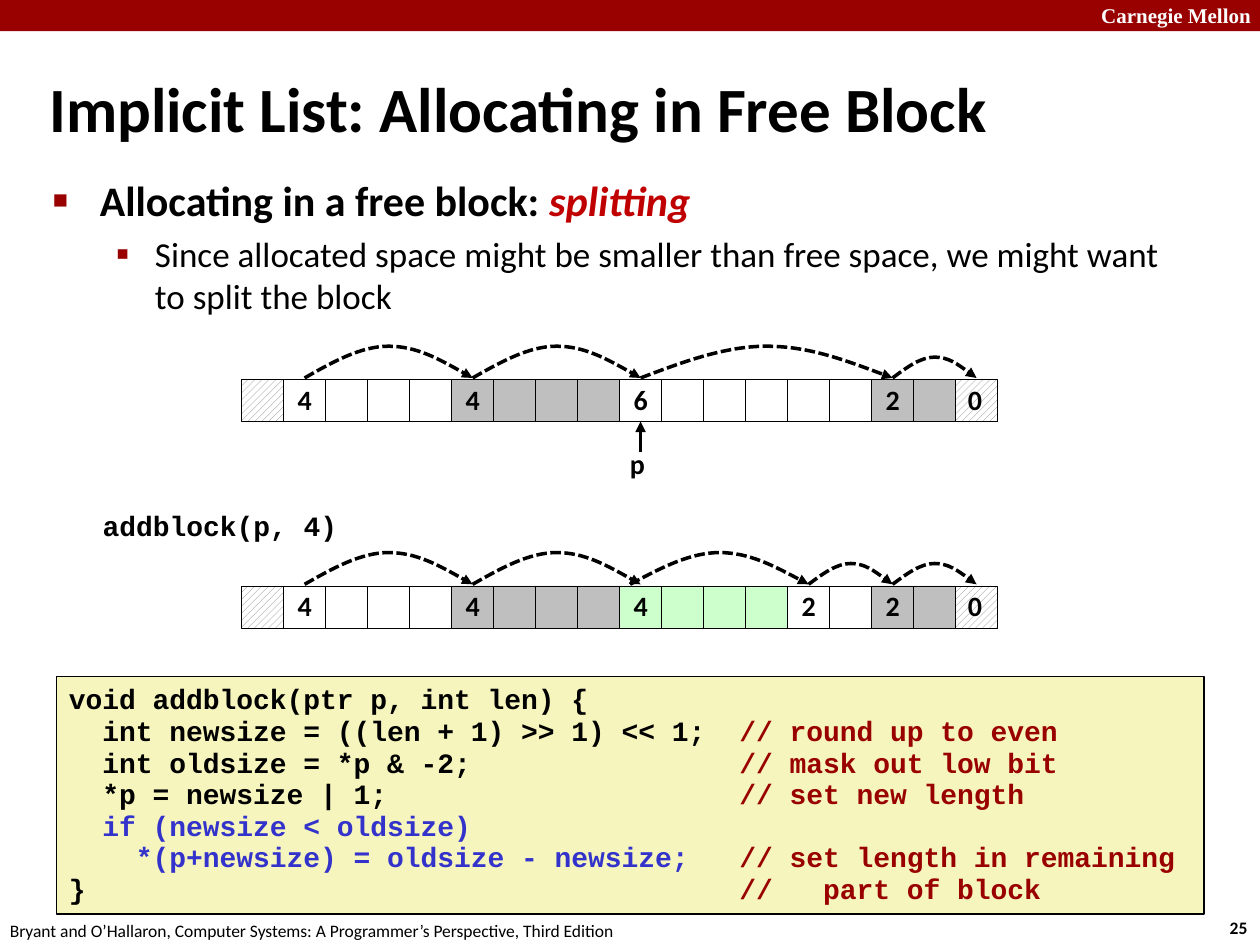
from itertools import pairwise

from lxml.etree import SubElement
from pptx import Presentation
from pptx.dml.color import RGBColor
from pptx.enum.dml import MSO_LINE, MSO_PATTERN
from pptx.enum.shapes import MSO_CONNECTOR, MSO_SHAPE
from pptx.enum.text import MSO_ANCHOR, MSO_AUTO_SIZE, PP_ALIGN
from pptx.oxml.ns import qn
from pptx.util import Cm, Pt

BLACK = RGBColor(0x00, 0x00, 0x00)
WHITE = RGBColor(0xFF, 0xFF, 0xFF)
CRIMSON = RGBColor(0x99, 0x00, 0x00)
RED = RGBColor(0xC0, 0x00, 0x00)
BLUE = RGBColor(0x33, 0x33, 0xCC)
GRAY = RGBColor(0xBF, 0xBF, 0xBF)
HATCH = RGBColor(0x80, 0x80, 0x80)
GREEN = RGBColor(0xCC, 0xFF, 0xCC)
CREAM = RGBColor(0xF6, 0xF5, 0xBD)

TITLE = "Implicit List: Allocating in Free Block"
FOOTER = "Bryant and O’Hallaron, Computer Systems: A Programmer’s Perspective, Third Edition"
LEAD = [("Allocating in a free block: ", {}), ("splitting", {"color": RED, "italic": True})]
DETAIL = [("Since allocated space might be smaller than free space, "
           "we might want to split the block", {"bold": False})]

CODE = [
    [("void addblock(ptr p, int len) {", BLACK)],
    [("  int newsize = ((len + 1) >> 1) << 1;  ", BLACK), ("// round up to even", CRIMSON)],
    [("  int oldsize = *p & -2;                ", BLACK), ("// mask out low bit", CRIMSON)],
    [("  *p = newsize | 1;                     ", BLACK), ("// set new length", CRIMSON)],
    [("  if (newsize < oldsize)", BLUE)],
    [("    *(p+newsize) = oldsize - newsize;   ", BLUE),
     ("// set length in remaining", CRIMSON)],
    [("}                                       ", BLACK), ("//   part of block", CRIMSON)],
]

BEFORE = [(4, WHITE, 0), (4, GRAY, 0), (6, WHITE, 0), (2, GRAY, 0)]
AFTER = [(4, WHITE, 0), (4, GRAY, 0), (4, GREEN, Cm(-0.21)), (2, WHITE, 0), (2, GRAY, 0)]
BEFORE_TOP, AFTER_TOP = Cm(7.65), Cm(11.81)
HEAP_LEFT = Cm(4.87)
CELL = Cm(2.54) // 3
TALL_ARC, LOW_ARC, ARC_GAP = Cm(0.64), Cm(0.42), Cm(0.03)
POINTER_BLOCK = 2


def write(para, text, size=16, font="Calibri", color=BLACK, bold=True, italic=False):
    span = para.add_run()
    span.text = text
    span.font.name, span.font.size = font, Pt(size)
    span.font.bold, span.font.italic = bold, italic
    span.font.color.rgb = color


def add_label(page, left, top, width, height, text, margin=0.25, spacing=1.0, **style):
    box = page.shapes.add_textbox(Cm(left), Cm(top), Cm(width), Cm(height))
    frame = box.text_frame
    frame.word_wrap = False
    frame.margin_left = frame.margin_right = Cm(margin)
    para = frame.paragraphs[0]
    para.alignment, para.line_spacing = PP_ALIGN.LEFT, spacing
    write(para, text, **style)


def add_box(page, left, top, width, height, fill, line_width=None):
    box = page.shapes.add_shape(MSO_SHAPE.RECTANGLE, left, top, width, height)
    box.shadow.inherit = False
    if fill == HATCH:
        box.fill.patterned()
        box.fill.pattern = MSO_PATTERN.WIDE_UPWARD_DIAGONAL
        box.fill.fore_color.rgb, box.fill.back_color.rgb = HATCH, WHITE
    else:
        box.fill.solid()
        box.fill.fore_color.rgb = fill
    if line_width:
        box.line.color.rgb, box.line.width = BLACK, Pt(line_width)
    else:
        box.line.fill.background()
    return box


def add_cell(page, column, top, fill, text="", align=PP_ALIGN.CENTER):
    cell = add_box(page, HEAP_LEFT + column * CELL, top, CELL, CELL, fill, 0.25)
    if text:
        frame = cell.text_frame
        frame.word_wrap, frame.vertical_anchor = False, MSO_ANCHOR.MIDDLE
        para = frame.paragraphs[0]
        para.alignment, para.line_spacing = align, 0.98
        write(para, text)
    return cell


def style_arrow(arrow):
    arrow.line.color.rgb, arrow.line.width = BLACK, Pt(2)
    SubElement(arrow.element.spPr.find(qn("a:ln")), qn("a:tailEnd"), type="triangle")


def add_arc(page, start, end, base, height):
    top, sixth = base - height, (end - start) // 6
    middle = (start + end) // 2
    points = [(start + sixth, base - height // 2), (middle - sixth, top), (middle, top),
              (middle + sixth, top), (end - sixth, base - height // 2), (end, base)]
    builder = page.shapes.build_freeform(start, base)
    builder.add_line_segments(points, close=False)
    arc = builder.convert_to_shape()
    outline = arc.element.find(".//" + qn("a:path"))
    segments = outline.findall(qn("a:lnTo"))
    for first in (0, 3):
        curve = SubElement(outline, qn("a:cubicBezTo"))
        for segment in segments[first:first + 3]:
            curve.append(segment[0])
            outline.remove(segment)
    arc.shadow.inherit = False
    arc.fill.background()
    arc.line.dash_style = MSO_LINE.SQUARE_DOT
    style_arrow(arc)


def add_heap(page, top, blocks):
    add_cell(page, 0, top, HATCH)
    columns, heads = [1], []
    for size, fill, _ in blocks:
        heads.append(add_cell(page, columns[-1], top, fill, str(size)))
        for offset in range(1, size):
            add_cell(page, columns[-1] + offset, top, fill)
        columns.append(columns[-1] + size)
    add_cell(page, columns[-1], top, HATCH, "0", PP_ALIGN.LEFT)
    centers = [HEAP_LEFT + column * CELL + CELL // 2 for column in columns]
    for (start, end), (size, _, shift) in zip(pairwise(centers), blocks):
        height = TALL_ARC if size > 2 else LOW_ARC
        add_arc(page, start + shift, end, top - ARC_GAP, height)
    return heads


def add_bullet(para, spans, size, char, percent, margin, hanging):
    props = para._p.get_or_add_pPr()
    props.set("marL", str(Cm(margin)))
    props.set("indent", str(-Cm(hanging)))
    SubElement(SubElement(props, qn("a:buClr")), qn("a:srgbClr"), val=str(CRIMSON))
    SubElement(props, qn("a:buSzPct"), val=str(percent * 1000))
    SubElement(props, qn("a:buChar"), char=char)
    for text, style in spans:
        write(para, text, size=size, **style)


def place(holder, left, top, width, height):
    holder.left, holder.top, holder.width, holder.height = map(Cm, (left, top, width, height))
    holder.text_frame.auto_size = MSO_AUTO_SIZE.NONE
    return holder.text_frame


def add_headings(page):
    frame = place(page.shapes.title, 0.74, 1.37, 23.93, 1.6)
    frame.vertical_anchor = MSO_ANCHOR.MIDDLE
    frame.paragraphs[0].alignment = PP_ALIGN.LEFT
    write(frame.paragraphs[0], TITLE, size=36)
    frame = place(page.placeholders[1], 0.81, 3.4, 23.09, 14.5)
    lead, detail = frame.paragraphs[0], frame.add_paragraph()
    detail.level = 1
    add_bullet(lead, LEAD, 24, "■", 60, 0.95, 0.95)
    add_bullet(detail, DETAIL, 20, "▪", 110, 2.06, 0.79)
    lead.space_before, detail.space_before = Pt(0), Pt(4)


def add_code(page):
    box = add_box(page, Cm(1.14), Cm(13.64), Cm(23.14), Cm(4.78), CREAM, 1)
    frame = box.text_frame
    frame.word_wrap, frame.vertical_anchor = True, MSO_ANCHOR.MIDDLE
    for number, line in enumerate(CODE):
        para = frame.add_paragraph() if number else frame.paragraphs[0]
        para.alignment, para.line_spacing = PP_ALIGN.LEFT, 0.94
        for text, color in line:
            write(para, text, font="Courier New", color=color)


def add_pointer(page, cell):
    center, bottom = cell.left + CELL // 2, cell.top + CELL
    arrow = page.shapes.add_connector(MSO_CONNECTOR.STRAIGHT, center, Cm(9.12), center, bottom)
    arrow.end_connect(cell, 2)
    style_arrow(arrow)
    SubElement(arrow.element.spPr, qn("a:effectLst"))
    add_label(page, 12.45, 8.92, 0.81, 0.94, "p", spacing=0.98)


def main():
    deck = Presentation()
    deck.slide_width, deck.slide_height = Cm(25.4), Cm(19.05)
    page = deck.slides.add_slide(deck.slide_layouts[1])
    add_box(page, 0, 0, deck.slide_width, Cm(0.63), CRIMSON)
    add_label(page, 21.95, -0.08, 3.63, 0.76, "Carnegie Mellon",
              size=12, font="Times New Roman", color=WHITE)
    add_label(page, 24.54, 18.36, 0.94, 0.69, "25", size=10)
    add_label(page, -0.05, 18.42, 12.9, 0.69, FOOTER, size=10, bold=False)
    add_headings(page)
    add_code(page)
    heads = add_heap(page, BEFORE_TOP, BEFORE)
    add_pointer(page, heads[POINTER_BLOCK])
    add_label(page, 1.95, 10.24, 5.05, 0.84, "addblock(p, 4)",
              margin=0.12, spacing=0.85, font="Courier New")
    add_heap(page, AFTER_TOP, AFTER)
    deck.save("out.pptx")


if __name__ == "__main__":
    main()
